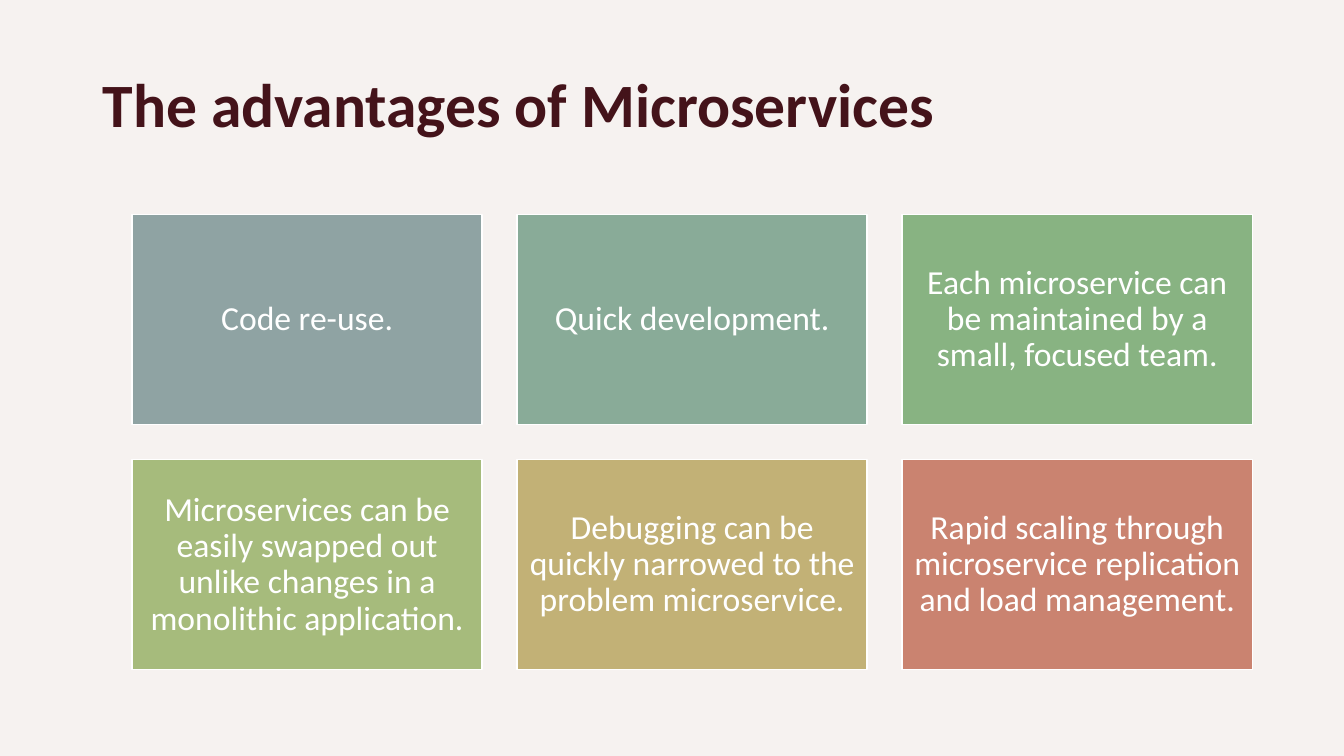
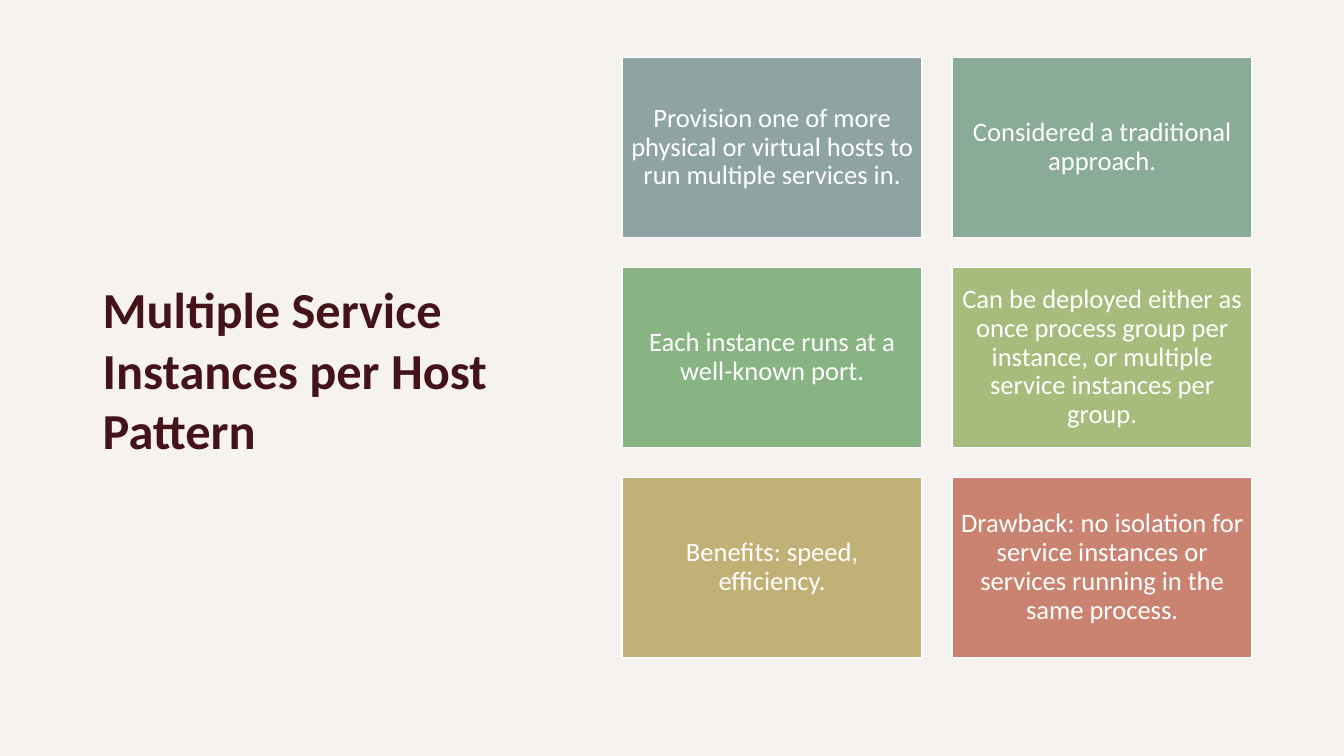
from dataclasses import dataclass

from pptx import Presentation
from pptx.dml.color import RGBColor
from pptx.enum.shapes import MSO_SHAPE
from pptx.enum.text import MSO_ANCHOR, PP_ALIGN
from pptx.util import Inches, Pt

RECTANGLE = MSO_SHAPE.RECTANGLE
TOP, MIDDLE = MSO_ANCHOR.TOP, MSO_ANCHOR.MIDDLE
LEFT, CENTER = PP_ALIGN.LEFT, PP_ALIGN.CENTER

# Content: each card list fills its grid row by row
SLIDES = [
    {
        "title": "The advantages of Microservices",
        "title_box": (0.92, 0.61, 11.32, 1.4),
        "title_format": {"size": 44, "anchor": TOP},
        "grid": {"left": 1.31, "top": 2.13, "columns": 3},
        "card_format": {"size": 24, "inset": 0.1},
        "cards": [
            "Code re-use.",
            "Quick development.",
            "Each microservice can be maintained by a small, focused team.",
            "Microservices can be easily swapped out unlike changes in a "
            "monolithic application.",
            "Debugging can be quickly narrowed to the problem microservice.",
            "Rapid scaling through microservice replication and load management.",
        ],
    },
    {
        "title": "Multiple Service Instances per Host Pattern",
        "title_box": (0.92, 0.61, 4.8, 6.1),
        "title_format": {"size": 36, "anchor": MIDDLE},
        "grid": {"left": 6.17, "top": 0.57, "columns": 2},
        "card_format": {"size": 19, "inset": 0.08},
        "cards": [
            "Provision one of more physical or virtual hosts to run multiple "
            "services in.",
            "Considered a traditional approach.",
            "Each instance runs at a well-known port.",
            "Can be deployed either as once process group per instance, or "
            "multiple service instances per group.",
            "Benefits: speed, efficiency.",
            "Drawback: no isolation for service instances or services running "
            "in the same process.",
        ],
    },
]


# Theme and shared grid rules
@dataclass(frozen=True)
class Theme:
    font: str = "Calibri"
    background: str = "F6F2F0"
    title: str = "44131A"
    card_text: str = "FFFFFF"
    card_line: str = "FFFFFF"
    cards: tuple = ("8FA3A3", "89AB98", "88B382", "A6BB7C", "C2B176", "CA8370")


THEME = Theme()
PAGE_WIDTH, PAGE_HEIGHT = 13.33, 7.5
GRID_RIGHT = 12.42
CARD_ASPECT = 0.6  # card height as a share of its width
GAP_SHARE = 0.1  # gap as a share of card width


def color(code):
    return RGBColor.from_string(code)


def write_text(shape, text, *, size, fill, bold=False, align=LEFT,
               anchor=MIDDLE, spacing=1.0, inset=None):
    frame = shape.text_frame
    frame.word_wrap = True
    frame.vertical_anchor = anchor
    if inset is not None:
        frame.margin_left = frame.margin_right = Inches(inset)
        frame.margin_top = frame.margin_bottom = Inches(inset)
    para = frame.paragraphs[0]
    para.alignment = align
    para.line_spacing = spacing
    span = para.add_run()
    span.text = text
    span.font.name = THEME.font
    span.font.size = Pt(size)
    span.font.bold = bold
    span.font.color.rgb = color(fill)


def card_places(count, left, top, columns):
    """Yield left, top, width and height of each card in a grid."""
    width = (GRID_RIGHT - left) / (columns + GAP_SHARE * (columns - 1))
    height, gap = CARD_ASPECT * width, GAP_SHARE * width
    for index in range(count):
        row, column = divmod(index, columns)
        yield (left + column * (width + gap), top + row * (height + gap),
               width, height)


def add_card(page, place, text, fill, card_format):
    card = page.shapes.add_shape(RECTANGLE, *map(Inches, place))
    card.shadow.inherit = False
    card.fill.solid()
    card.fill.fore_color.rgb = color(fill)
    card.line.color.rgb = color(THEME.card_line)
    card.line.width = Pt(1)
    write_text(card, text, fill=THEME.card_text, align=CENTER, spacing=0.9,
               **card_format)


def add_page(deck, content):
    page = deck.slides.add_slide(deck.slide_layouts[6])
    page.background.fill.solid()
    page.background.fill.fore_color.rgb = color(THEME.background)
    title = page.shapes.add_textbox(*map(Inches, content["title_box"]))
    write_text(title, content["title"], fill=THEME.title, bold=True,
               **content["title_format"])
    cards = content["cards"]
    places = card_places(len(cards), **content["grid"])
    for place, text, fill in zip(places, cards, THEME.cards):
        add_card(page, place, text, fill, content["card_format"])


# Build the deck
deck = Presentation()
deck.slide_width, deck.slide_height = Inches(PAGE_WIDTH), Inches(PAGE_HEIGHT)
for content in SLIDES:
    add_page(deck, content)
deck.save("out.pptx")
